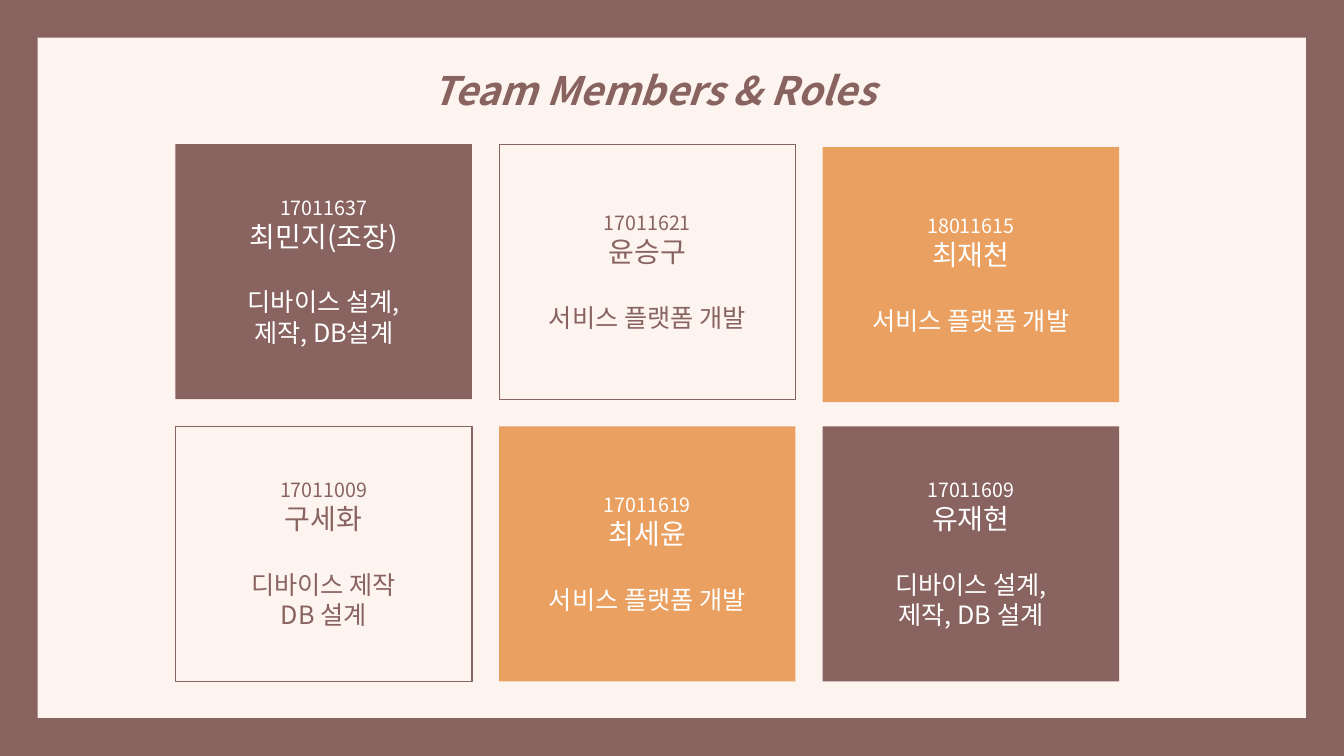
"""Build the team members and roles slide."""
from dataclasses import dataclass

from lxml import etree
from pptx import Presentation
from pptx.dml.color import RGBColor
from pptx.enum.shapes import MSO_SHAPE
from pptx.enum.text import MSO_ANCHOR, MSO_AUTO_SIZE, PP_ALIGN
from pptx.oxml.ns import qn
from pptx.shapes.autoshape import Shape
from pptx.slide import Slide
from pptx.text.text import TextFrame
from pptx.util import Inches, Pt

FRAME, RECT = MSO_SHAPE.FRAME, MSO_SHAPE.RECTANGLE
TOP, MIDDLE = MSO_ANCHOR.TOP, MSO_ANCHOR.MIDDLE
CENTER = PP_ALIGN.CENTER
FIXED = MSO_AUTO_SIZE.NONE

FONT = "Noto Sans CJK KR"
BROWN, CREAM, ORANGE, WHITE = "896360", "FDF4EF", "E9A060", "FFFFFF"
LEFT, HEAD = 1.74, 1.43
STEP_X, STEP_Y = 3.21, 2.8
CARD_W, CARD_H = 2.94, 2.53
COLS = 3


@dataclass(frozen=True)
class Card:
    """One member's card."""
    code: str
    name: str
    roles: tuple[str, ...]
    fill: str
    ink: str = WHITE
    edge: float = 0
    drop: float = 0


CARDS = (
    Card("17011637", "최민지(조장)", ("디바이스 설계,", "제작, DB설계"), BROWN),
    Card("17011621", "윤승구", ("서비스 플랫폼 개발",), CREAM, BROWN, edge=0.25),
    Card("18011615", "최재천", ("서비스 플랫폼 개발",), ORANGE, drop=0.03),
    Card("17011009", "구세화", ("디바이스 제작", "DB 설계"), CREAM, BROWN, edge=1),
    Card("17011619", "최세윤", ("서비스 플랫폼 개발",), ORANGE),
    Card("17011609", "유재현", ("디바이스 설계,", "제작, DB 설계"), BROWN),
)


def color(code: str) -> RGBColor:
    """Turn a hex string into a colour."""
    return RGBColor.from_string(code)


def write(frame: TextFrame, text: str, *, size: float, ink: str,
          first: bool = False, gap: float = 0, lines: float = 1,
          bold: bool = False, slant: bool = False) -> None:
    """Write one centred paragraph into a text frame."""
    para = frame.paragraphs[0] if first else frame.add_paragraph()
    para.alignment = CENTER
    para.line_spacing = lines
    para.space_before = Pt(gap)
    run = para.add_run()
    run.text = text
    font = run.font
    font.name, font.size = FONT, Pt(size)
    font.bold, font.italic = bold, slant
    font.color.rgb = color(ink)
    east = etree.SubElement(font._element, qn("a:ea"))
    east.set("typeface", FONT)


def block(slide: Slide, kind: MSO_SHAPE, box: tuple[float, float, float, float],
          fill: str, edge: float = 0) -> Shape:
    """Add a flat filled shape, outlined when an edge width is given."""
    shape = slide.shapes.add_shape(kind, *map(Inches, box))
    shape.shadow.inherit = False
    shape.fill.solid()
    shape.fill.fore_color.rgb = color(fill)
    if edge:
        shape.line.color.rgb = color(BROWN)
        shape.line.width = Pt(edge)
    else:
        shape.line.fill.background()
    return shape


def add_title(slide: Slide) -> None:
    """Place and format the title."""
    title = slide.shapes.title
    title.left, title.top = Inches(3.57), Inches(0.37)
    title.width, title.height = Inches(5.84), Inches(0.72)
    frame = title.text_frame
    frame.auto_size = FIXED
    frame.vertical_anchor = TOP
    frame.word_wrap = True
    write(frame, "Team Members & Roles", size=28, ink=BROWN, first=True,
          lines=1.5, bold=True, slant=True)


def add_card(slide: Slide, card: Card, spot: int) -> None:
    """Draw a card at its spot in the grid."""
    row, col = divmod(spot, COLS)
    box = (LEFT + col * STEP_X, HEAD + row * STEP_Y + card.drop, CARD_W, CARD_H)
    frame = block(slide, RECT, box, card.fill, card.edge).text_frame
    frame.vertical_anchor = MIDDLE
    frame.word_wrap = True
    write(frame, card.code, size=14, ink=card.ink, first=True)
    write(frame, card.name, size=20, ink=card.ink)
    for line, role in enumerate(card.roles):
        write(frame, role, size=18, ink=card.ink, gap=0 if line else 24)


def main() -> None:
    """Build and save the slide."""
    deck = Presentation()
    deck.slide_width, deck.slide_height = Inches(13.33), Inches(7.5)
    slide = deck.slides.add_slide(deck.slide_layouts[5])
    slide.background.fill.solid()
    slide.background.fill.fore_color.rgb = color(CREAM)
    border = block(slide, FRAME, (0, 0, 13.33, 7.5), BROWN)
    border.adjustments[0] = 0.05
    add_title(slide)
    for spot, card in enumerate(CARDS):
        add_card(slide, card, spot)
    deck.save("out.pptx")


if __name__ == "__main__":
    main()
